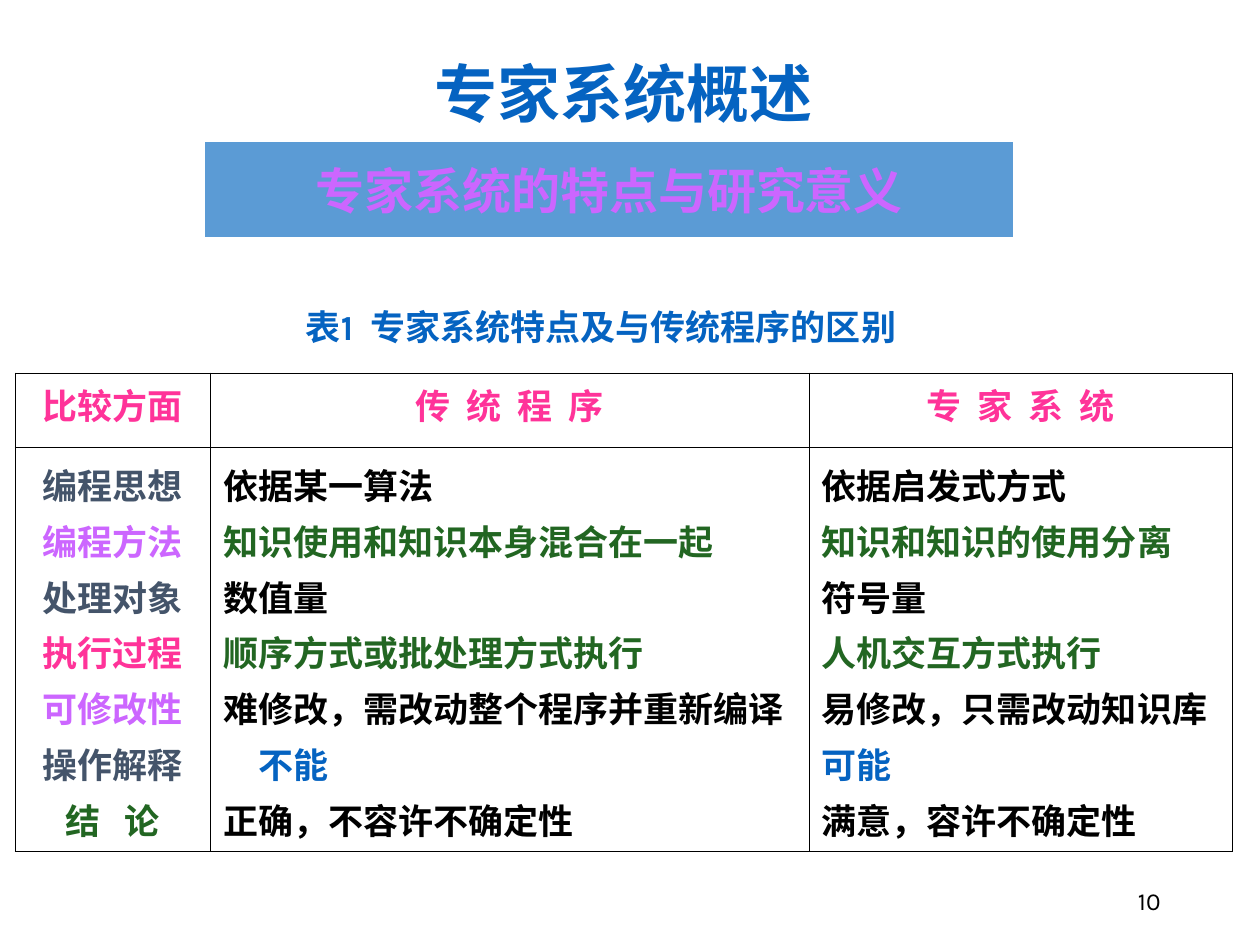
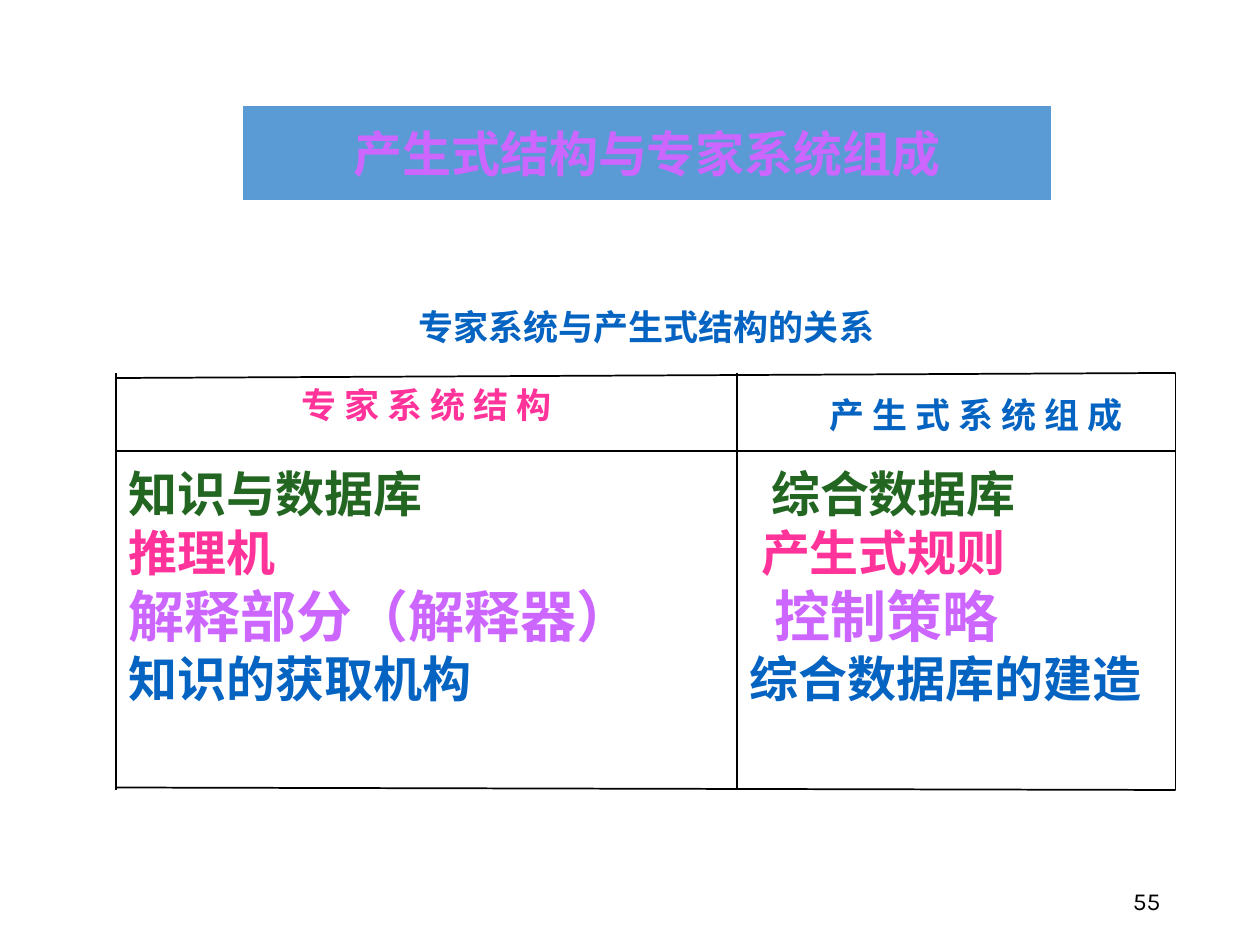
from dataclasses import dataclass
from lxml.etree import SubElement
from pptx import Presentation
from pptx.dml.color import RGBColor
from pptx.enum.shapes import MSO_CONNECTOR, MSO_SHAPE
from pptx.enum.text import MSO_ANCHOR, MSO_AUTO_SIZE, PP_ALIGN
from pptx.oxml import parse_xml
from pptx.oxml.ns import nsdecls, qn
from pptx.util import Inches, Pt


@dataclass(frozen=True)
class Theme:
    black: str = "000000"
    white: str = "FFFFFF"
    blue: str = "0563C1"
    band: str = "5B9BD5"
    violet: str = "CC66FF"
    pink: str = "FF3399"
    green: str = "226622"
    slate: str = "44546A"
    cjk: str = "Noto Sans CJK SC"
    latin: str = "Karla"
    title: int = 36
    large: int = 32
    heading: int = 28
    text: int = 20
    number: int = 14


THEME = Theme()
BAND_SIZE = (6.45, 0.79)
CAPTION_AREA = (2.33, 2.37, 5.6, 0.44)
NUMBER_AREA = (7.06, 6.95, 2.25, 0.4)

COMPARISON_HEADER = ["比较方面", "传 统 程 序", "专 家 系 统"]
COMPARISON_ROWS = [
    ("编程思想", THEME.slate, "依据某一算法", "依据启发式方式", THEME.black),
    ("编程方法", THEME.violet, "知识使用和知识本身混合在一起", "知识和知识的使用分离", THEME.green),
    ("处理对象", THEME.slate, "数值量", "符号量", THEME.black),
    ("执行过程", THEME.pink, "顺序方式或批处理方式执行", "人机交互方式执行", THEME.green),
    ("可修改性", THEME.violet, "难修改，需改动整个程序并重新编译", "易修改，只需改动知识库", THEME.black),
    ("操作解释", THEME.slate, "不能", "可能", THEME.blue),
    ("结 论", THEME.green, "正确，不容许不确定性", "满意，容许不确定性", THEME.black),
]
COMPARISON_AREA = (0.12, 2.96, 9.66, 3.28)
COLUMN_WIDTHS = (1.55, 4.75, 3.36)
ROW_HEIGHTS = (0.59, 2.69)
LETTER_GAPS = {"传 统 程 序": 2.3, "专 家 系 统": 2.3, "结 论": 4.7}
INDENTS = {"不能": 0.28}

RELATION_ROWS = [
    ("知识与数据库", "综合数据库", 0.17, THEME.green, THEME.heading, THEME.latin),
    ("推理机", "产生式规则", 0.09, THEME.pink, THEME.heading, THEME.cjk),
    ("解释部分（解释器）", "控制策略", 0.2, THEME.violet, THEME.large, THEME.latin),
    ("知识的获取机构", "综合数据库的建造", 0, THEME.blue, THEME.heading, THEME.latin),
]
LEFT, MIDDLE, RIGHT = 0.92, 5.85, 9.33
TOP, DIVIDER, BOTTOM = 2.96, 3.58, 6.27
RULES = [
    (LEFT, TOP + 0.04, RIGHT, TOP, 1),
    (LEFT, DIVIDER, RIGHT, DIVIDER, 1),
    (LEFT, BOTTOM - 0.02, RIGHT, BOTTOM, 1),
    (RIGHT, TOP, RIGHT, BOTTOM, 0.75),
    (LEFT, TOP, LEFT, BOTTOM, 1),
    (MIDDLE, TOP, MIDDLE, BOTTOM, 1),
]


def color(value):
    return RGBColor.from_string(value)


def place(shape, area):
    shape.left, shape.top, shape.width, shape.height = map(Inches, area)


def write(frame, text, new=False, size=THEME.text, fill=THEME.black, font=THEME.cjk,
          bold=True, align=PP_ALIGN.LEFT, indent=0, gap=0, line=None):
    para = frame.add_paragraph() if new else frame.paragraphs[0]
    properties = para._p.get_or_add_pPr()
    properties.set("marL", str(Inches(indent)))
    properties.set("indent", "0")
    SubElement(properties, qn("a:buNone"))
    para.alignment = align
    para.space_before = Pt(0)
    if line:
        para.line_spacing = line
    spans = [(text, gap)] if isinstance(text, str) else text
    for words, spacing in spans:
        span = para.add_run()
        span.text = words
        span.font.size = Pt(size)
        span.font.bold = bold
        span.font.color.rgb = color(fill)
        span.font.name = font
        span_properties = span._r.get_or_add_rPr()
        SubElement(span_properties, qn("a:ea")).set("typeface", THEME.cjk)
        if spacing:
            span_properties.set("spc", str(round(spacing * 100)))


def prepare(shape, anchor=MSO_ANCHOR.MIDDLE, top=0.05, bottom=0.05, wrap=True):
    frame = shape.text_frame
    frame.auto_size = MSO_AUTO_SIZE.NONE
    frame.word_wrap = wrap
    frame.vertical_anchor = anchor
    frame.margin_left = frame.margin_right = Inches(0.1)
    frame.margin_top, frame.margin_bottom = Inches(top), Inches(bottom)
    return frame


def add_text(page, area, text, anchor=MSO_ANCHOR.MIDDLE, top=0.05, wrap=True, **style):
    box = page.shapes.add_textbox(*map(Inches, area))
    write(prepare(box, anchor, top, wrap=wrap), text, **style)


def format_band(shape, left, top, text):
    place(shape, (left, top, *BAND_SIZE))
    shape.fill.solid()
    shape.fill.fore_color.rgb = color(THEME.band)
    shape.line.color.rgb = color(THEME.white)
    shape.line.width = Pt(3)
    write(prepare(shape), text, size=THEME.heading, fill=THEME.violet, align=PP_ALIGN.CENTER)


def add_number(page, number):
    add_text(page, NUMBER_AREA, number, size=THEME.number, font=THEME.latin,
             bold=False, align=PP_ALIGN.RIGHT)


def add_caption(page, text, align):
    add_text(page, CAPTION_AREA, text, fill=THEME.blue, font=THEME.latin, align=align)


def format_cell(cell):
    cell.margin_left = cell.margin_right = Inches(0.1)
    cell.margin_top = cell.margin_bottom = Inches(0.05)
    cell.fill.background()
    properties = cell._tc.get_or_add_tcPr()
    for position, side in enumerate(("lnL", "lnR", "lnT", "lnB")):
        properties.insert(position, parse_xml(
            f'<a:{side} {nsdecls("a")} w="{Pt(0.45)}"><a:solidFill>'
            f'<a:srgbClr val="{THEME.black}"/></a:solidFill></a:{side}>'))


def add_comparison(page):
    table = page.shapes.add_table(2, 3, *map(Inches, COMPARISON_AREA)).table
    table.first_row = table.horz_banding = False
    for column, width in zip(table.columns, COLUMN_WIDTHS):
        column.width = Inches(width)
    for row, height in zip(table.rows, ROW_HEIGHTS):
        row.height = Inches(height)
    for index, heading in enumerate(COMPARISON_HEADER):
        header, body = table.cell(0, index), table.cell(1, index)
        format_cell(header)
        format_cell(body)
        write(header.text_frame, heading, fill=THEME.pink, align=PP_ALIGN.CENTER,
              gap=LETTER_GAPS.get(heading, 0))
        for number, (aspect, aspect_fill, program, expert, fill) in enumerate(COMPARISON_ROWS):
            text = (aspect, program, expert)[index]
            write(body.text_frame, text, new=number > 0, line=1.1,
                  fill=fill if index else aspect_fill,
                  align=PP_ALIGN.LEFT if index else PP_ALIGN.CENTER,
                  indent=INDENTS.get(text, 0), gap=LETTER_GAPS.get(text, 0))
    table.cell(1, 0).vertical_anchor = MSO_ANCHOR.MIDDLE


def add_rule(page, x1, y1, x2, y2, width):
    rule = page.shapes.add_connector(MSO_CONNECTOR.STRAIGHT, *map(Inches, (x1, y1, x2, y2)))
    rule.line.color.rgb = color(THEME.black)
    rule.line.width = Pt(width)
    SubElement(rule._element.spPr, qn("a:effectLst"))


def build_overview(deck):
    page = deck.slides.add_slide(deck.slide_layouts[5])
    title = page.shapes.title
    place(title, (2.4, 0.19, 5.1, 0.84))
    write(prepare(title, MSO_ANCHOR.BOTTOM, bottom=0), "专家系统概述",
          size=THEME.title, fill=THEME.blue, align=PP_ALIGN.CENTER)
    add_comparison(page)
    add_number(page, "10")
    band = page.shapes.add_shape(MSO_SHAPE.RECTANGLE, 0, 0, 0, 0)
    band.shadow.inherit = False
    format_band(band, 1.61, 1.11, "专家系统的特点与研究意义")
    add_caption(page, [("表1", 0), (" ", 4.5), ("专家系统特点及与传统程序的区别", 0)],
                PP_ALIGN.LEFT)


def build_relation(deck):
    page = deck.slides.add_slide(deck.slide_layouts[3])
    format_band(page.shapes.title, 1.91, 0.82, "产生式结构与专家系统组成")
    add_number(page, "55")
    for side, (start, end) in enumerate(((LEFT, MIDDLE), (MIDDLE, RIGHT))):
        body = page.placeholders[side + 1]
        place(body, (start, DIVIDER, end - start, BOTTOM - DIVIDER))
        frame = prepare(body, MSO_ANCHOR.TOP, top=0.1)
        for number, (*texts, indent, fill, size, font) in enumerate(RELATION_ROWS):
            write(frame, texts[side], new=number > 0, size=size, fill=fill, font=font,
                  indent=indent * side, line=Pt(size * 1.2))
    for rule in RULES:
        add_rule(page, *rule)
    add_text(page, (LEFT, TOP, MIDDLE - LEFT, DIVIDER - TOP), "专 家 系 统 结 构",
             anchor=MSO_ANCHOR.TOP, top=0.08, fill=THEME.pink, align=PP_ALIGN.CENTER,
             line=Pt(THEME.text * 1.2))
    add_caption(page, "专家系统与产生式结构的关系", PP_ALIGN.CENTER)
    add_text(page, (6.48, 3.07, 2.53, 0.44), "产 生 式 系 统 组 成", wrap=False,
             fill=THEME.blue, font=THEME.latin, align=PP_ALIGN.CENTER)


def main():
    deck = Presentation()
    deck.slide_width, deck.slide_height = Inches(10), Inches(7.5)
    build_overview(deck)
    build_relation(deck)
    deck.save("out.pptx")


if __name__ == "__main__":
    main()
